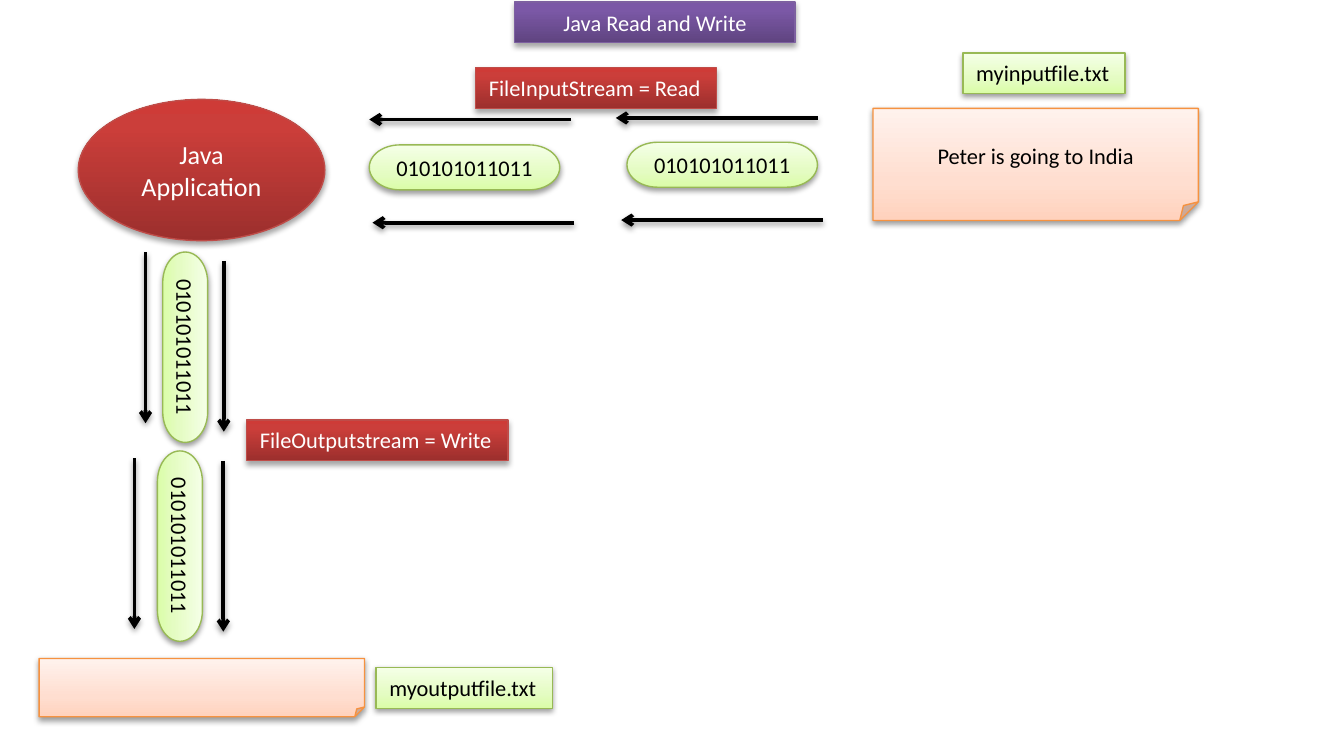
"""Draw how a Java program reads and writes files through byte streams."""
from dataclasses import dataclass

from lxml import etree
from pptx import Presentation
from pptx import util as u
from pptx.dml.color import RGBColor
from pptx.enum import shapes, text
from pptx.oxml import ns

HUES: dict[str, str] = {
    "black": "000000", "white": "FFFFFF",
    "purple": "7D60A0", "red": "BF4C48", "green": "98B955", "orange": "F69240",
}
FADES: dict[str, dict[int, str]] = {
    "purple": {0: "5F4480", 80: "7B58A6", 100: "7C57A8"},
    "red": {0: "9C2F2D", 80: "CB3E3A", 100: "CE3B37"},
    "green": {0: "DAFDA7", 35: "E4FCC2", 100: "F5FFE7"},
    "orange": {0: "FFD2BD", 35: "FFDED0", 100: "FFF2ED"},
}
DARK = ("purple", "red")
KIND = shapes.MSO_SHAPE
BITS = "010101011011"


@dataclass
class Box:
    """A filled shape, measured in centimetres."""
    left: float
    top: float
    width: float
    height: float
    hue: str
    words: str = ""
    kind: KIND = KIND.RECTANGLE
    size: int = 12
    turn: int = 0


@dataclass
class Label(Box):
    """A one-line caption that fits its words."""
    wrap: bool = False


@dataclass
class Arrow:
    """An arrow from a point along an offset, in centimetres."""
    left: float
    top: float
    across: float
    down: float


def add_tag(root, name: str, **attrs):
    """Append a drawing element with the given attributes."""
    return etree.SubElement(root, ns.qn(f"a:{name}"), attrs)


def add_shade(props, alpha: int, dist: float) -> None:
    """Append a soft shadow that falls straight down."""
    shade = add_tag(add_tag(props, "effectLst"), "outerShdw",
                    blurRad=str(u.Pt(3.1)), dist=str(u.Pt(dist)),
                    dir="5400000", rotWithShape="0")
    tint = add_tag(shade, "srgbClr", val=HUES["black"])
    add_tag(tint, "alpha", val=str(alpha * 1000))


def set_fade(shape, hue: str) -> None:
    """Fill a shape with an upward gradient."""
    shape.fill.gradient()
    shape.fill.gradient_angle = 90
    stops = next(shape._element.spPr.iter(ns.qn("a:gsLst")))
    for stop in list(stops):
        stops.remove(stop)
    for place, tint in FADES[hue].items():
        add_tag(add_tag(stops, "gs", pos=str(place * 1000)), "srgbClr", val=tint)


def set_words(shape, box: Box) -> None:
    """Write and format the words of a box."""
    frame = shape.text_frame
    frame.text = box.words
    frame.word_wrap = True
    frame.vertical_anchor = text.MSO_ANCHOR.MIDDLE
    line = frame.paragraphs[0]
    line.alignment = text.PP_ALIGN.CENTER
    if isinstance(box, Label):
        frame.word_wrap = box.wrap
        frame.vertical_anchor = text.MSO_ANCHOR.TOP
        frame.auto_size = text.MSO_AUTO_SIZE.SHAPE_TO_FIT_TEXT
        if not box.wrap:
            line.alignment = text.PP_ALIGN.LEFT
    for run in line.runs:
        run.font.name = "Calibri"
        run.font.size = u.Pt(box.size)
        ink = "white" if box.hue in DARK else "black"
        run.font.color.rgb = RGBColor.from_string(HUES[ink])


def draw_box(slide, box: Box) -> None:
    """Draw one filled shape with its words."""
    shape = slide.shapes.add_shape(
        box.kind, u.Cm(box.left), u.Cm(box.top), u.Cm(box.width), u.Cm(box.height))
    shape.rotation = box.turn
    set_fade(shape, box.hue)
    shape.line.color.rgb = RGBColor.from_string(HUES[box.hue])
    shape.line.width = u.Pt(0.75)
    add_shade(shape._element.spPr, *((35, 1.8) if box.hue in DARK else (38, 1.6)))
    if box.words:
        set_words(shape, box)


def draw_arrow(slide, arrow: Arrow) -> None:
    """Draw one black arrow."""
    link = slide.shapes.add_connector(
        shapes.MSO_CONNECTOR.STRAIGHT, u.Cm(arrow.left), u.Cm(arrow.top),
        u.Cm(arrow.left + arrow.across), u.Cm(arrow.top + arrow.down))
    link.line.color.rgb = RGBColor.from_string(HUES["black"])
    link.line.width = u.Pt(2)
    add_tag(link.line._get_or_add_ln(), "tailEnd", type="arrow")
    add_shade(link._element.spPr, 38, 1.6)


def make_pill(left: float, top: float, turn: int = 0) -> Box:
    """Describe a capsule of bits."""
    return Box(left, top, 3.6, 0.85, "green", BITS, KIND.FLOWCHART_TERMINATOR, turn=turn)


BOXES: list[Box] = [
    Label(9.73, 0.04, 5.3, 0.77, "purple", "Java Read and Write", wrap=True),
    Box(16.5, 2.05, 6.15, 2.12, "orange", "Peter is going to India", KIND.FOLDED_CORNER),
    Label(18.2, 1, 3.06, 0.77, "green", "myinputfile.txt"),
    Box(1.48, 1.88, 4.66, 2.67, "red", "Java Application", KIND.OVAL, 14),
    make_pill(6.98, 2.74),
    make_pill(11.85, 2.69),
    Label(8.99, 1.28, 4.55, 0.77, "red", "FileInputStream = Read"),
    Box(0.74, 12.45, 6.15, 1.1, "orange", kind=KIND.FOLDED_CORNER),
    Label(7.11, 12.62, 3.33, 0.77, "green", "myoutputfile.txt"),
    make_pill(1.7, 6.14, 90),
    make_pill(1.6, 9.9, 90),
    Label(4.66, 7.94, 4.94, 0.77, "red", "FileOutputstream = Write"),
]
READS = [(15.45, 2.23), (10.79, 2.26), (15.55, 4.16), (10.85, 4.21)]
WRITES = [(4.22, 8.71), (2.75, 4.77), (2.54, 8.66), (4.23, 4.93)]


def main() -> None:
    """Build and save the slide."""
    deck = Presentation()
    deck.slide_width, deck.slide_height = u.Cm(25.4), u.Cm(13.97)
    slide = deck.slides.add_slide(deck.slide_layouts[6])
    for box in BOXES:
        draw_box(slide, box)
    for spot in READS:
        draw_arrow(slide, Arrow(*spot, -3.81, 0))
    for spot in WRITES:
        draw_arrow(slide, Arrow(*spot, 0, 3.23))
    deck.save("out.pptx")


if __name__ == "__main__":
    main()
